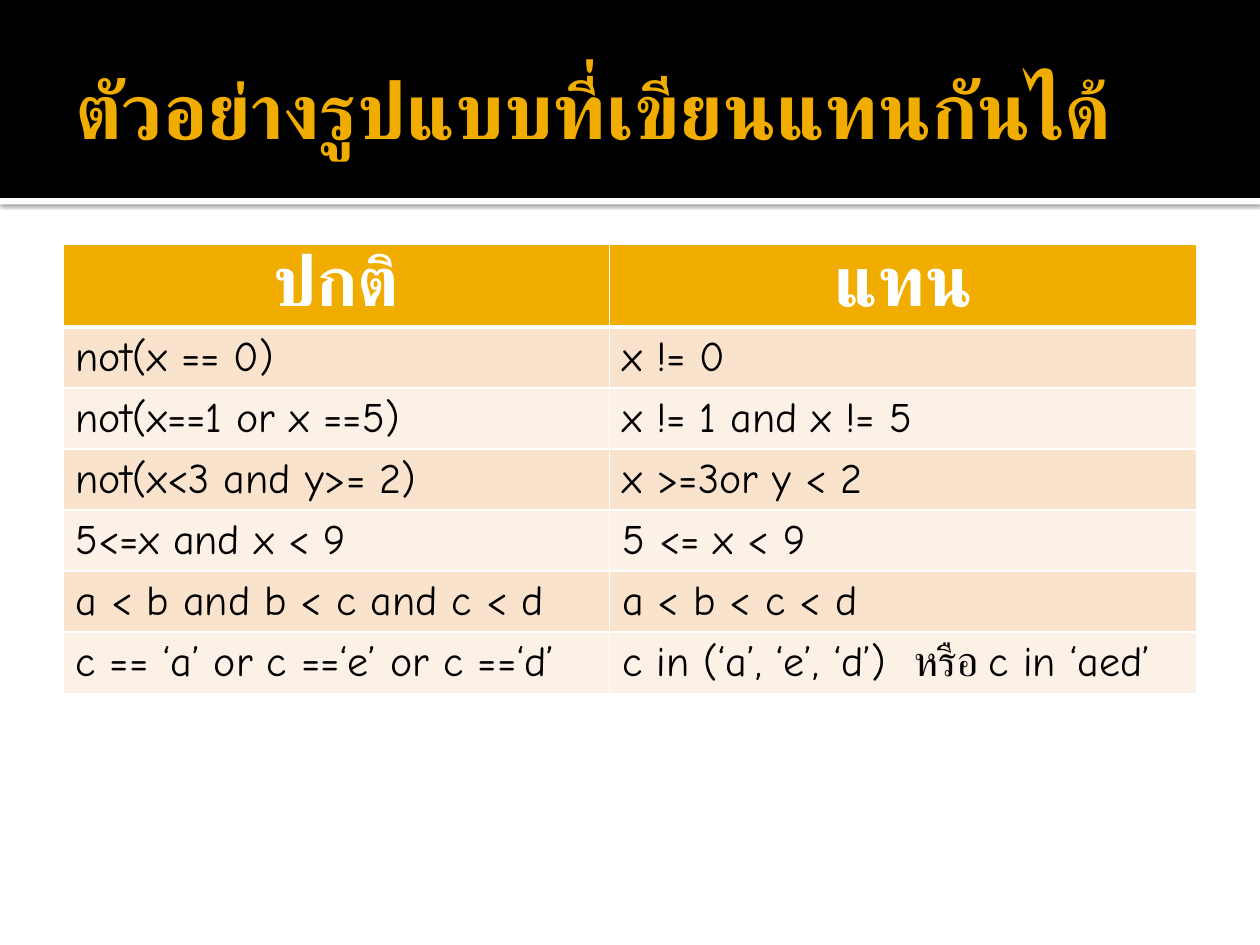
from lxml import etree
from pptx import Presentation
from pptx.dml.color import RGBColor
from pptx.enum.shapes import MSO_SHAPE
from pptx.enum.text import MSO_ANCHOR, MSO_AUTO_SIZE, PP_ALIGN
from pptx.oxml import parse_xml
from pptx.util import Cm, Pt

RECT = MSO_SHAPE.RECTANGLE
MIDDLE = MSO_ANCHOR.MIDDLE
FIXED = MSO_AUTO_SIZE.NONE
LEFT, CENTER = PP_ALIGN.LEFT, PP_ALIGN.CENTER

BLACK = RGBColor(0, 0, 0)
WHITE = RGBColor(255, 255, 255)
GOLD = RGBColor(0xF0, 0xAD, 0x00)
PEACH = RGBColor(0xF9, 0xE3, 0xCC)
CREAM = RGBColor(0xFC, 0xF1, 0xE7)

NS = "http://schemas.openxmlformats.org/drawingml/2006/main"
TITLE = "ตัวอย่างรูปแบบที่เขียนแทนกันได้"
ROWS = [
    ("ปกติ", "แทน"),
    ("not(x == 0)", "x != 0"),
    ("not(x==1 or x ==5)", "x != 1 and x != 5"),
    ("not(x<3 and y>= 2)", "x >=3or y < 2"),
    ("5<=x and x < 9", "5 <= x < 9"),
    ("a < b and b < c and c < d", "a < b < c < d"),
    ("c == ‘a’ or c ==‘e’ or c ==‘d’", "c in (‘a’, ‘e’, ‘d’)  หรือ c in ‘aed’"),
]


def style(para, font, size, color, bold, align):
    """Format one paragraph."""
    para.alignment = align
    para.font.name = font
    para.font.size = Pt(size)
    para.font.color.rgb = color
    para.font.bold = bold


def add_band(slide, top, height, color):
    """Add a plain band across the slide."""
    band = slide.shapes.add_shape(RECT, 0, Cm(top), Cm(25.4), Cm(height))
    band.shadow.inherit = False
    band.fill.solid()
    band.fill.fore_color.rgb = color
    band.line.fill.background()
    return band


def add_shade(shape):
    """Give a shape a soft shadow straight below it."""
    effects = shape.element.spPr.find(f"{{{NS}}}effectLst")
    effects.append(parse_xml(
        f'<a:outerShdw xmlns:a="{NS}" blurRad="{Pt(2.5)}" dist="{Pt(0.8)}" '
        'dir="5400000" rotWithShape="0"><a:srgbClr val="000000">'
        '<a:alpha val="60000"/></a:srgbClr></a:outerShdw>'))


def set_title(slide):
    """Place and format the title above the bands."""
    title = slide.shapes.title
    title.left, title.top = Cm(1.27), Cm(0.43)
    title.width, title.height = Cm(22.86), Cm(3.48)
    frame = title.text_frame
    frame.text = TITLE
    frame.auto_size = FIXED
    frame.word_wrap = True
    frame.vertical_anchor = MIDDLE
    frame.margin_left = Cm(0.25)
    frame.margin_right = frame.margin_top = frame.margin_bottom = Cm(0.13)
    style(frame.paragraphs[0], "Calibri", 45, GOLD, True, LEFT)
    title.element.getparent().append(title.element)


def set_edges(cell, top, bottom):
    """Draw white borders around a cell."""
    props = cell._tc.get_or_add_tcPr()
    for spot, (side, width) in enumerate(
            zip("LRTB", (1, 1, top, bottom))):
        line = etree.Element(f"{{{NS}}}ln{side}", w=str(Pt(width)))
        fill = etree.SubElement(line, f"{{{NS}}}solidFill")
        etree.SubElement(fill, f"{{{NS}}}srgbClr", val=str(WHITE))
        props.insert(spot, line)


def fill_cell(cell, text, row):
    """Write and format one cell by its row number."""
    head = row == 0
    cell.text = text
    cell.fill.solid()
    cell.fill.fore_color.rgb = GOLD if head else PEACH if row % 2 else CREAM
    set_edges(cell, 3 if row == 1 else 1, 3 if head else 1)
    look = (40, WHITE, True, CENTER) if head else (24, BLACK, False, LEFT)
    style(cell.text_frame.paragraphs[0], "Comic Neue", *look)


def add_grid(slide):
    """Add the table of equal expressions."""
    frame = slide.shapes.add_table(
        len(ROWS), 2, Cm(1.27), Cm(4.93), Cm(22.86), Cm(9.02))
    table = frame.table
    for col, width in zip(table.columns, (11.02, 11.84)):
        col.width = Cm(width)
    for row, texts in enumerate(ROWS):
        table.rows[row].height = Cm(1.23 if row else 1.64)
        for col, text in enumerate(texts):
            fill_cell(table.cell(row, col), text, row)


def main():
    """Build and save the slide."""
    deck = Presentation()
    deck.slide_width, deck.slide_height = Cm(25.4), Cm(19.05)
    slide = deck.slides.add_slide(deck.slide_layouts[5])
    add_shade(add_band(slide, 3.99, 0.13, WHITE))
    add_band(slide, 0, 3.99, BLACK)
    set_title(slide)
    add_grid(slide)
    deck.save("out.pptx")


main()
